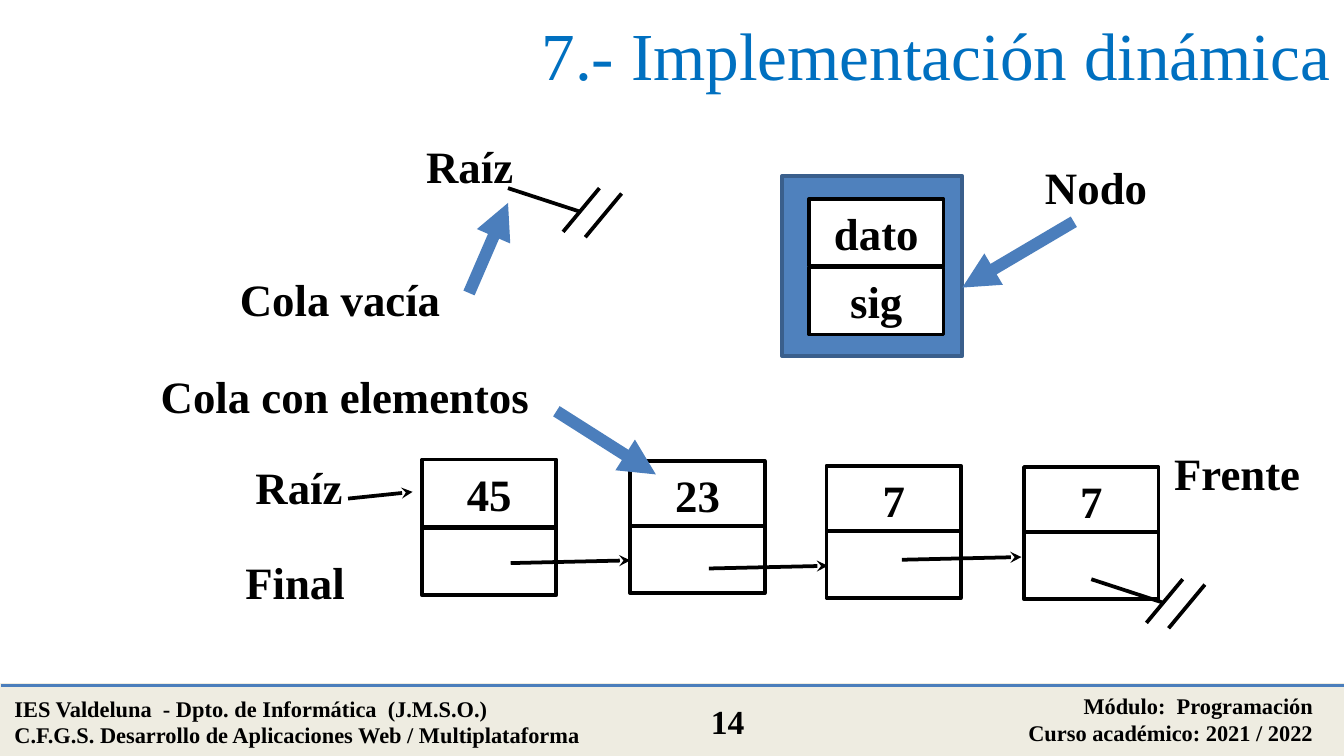
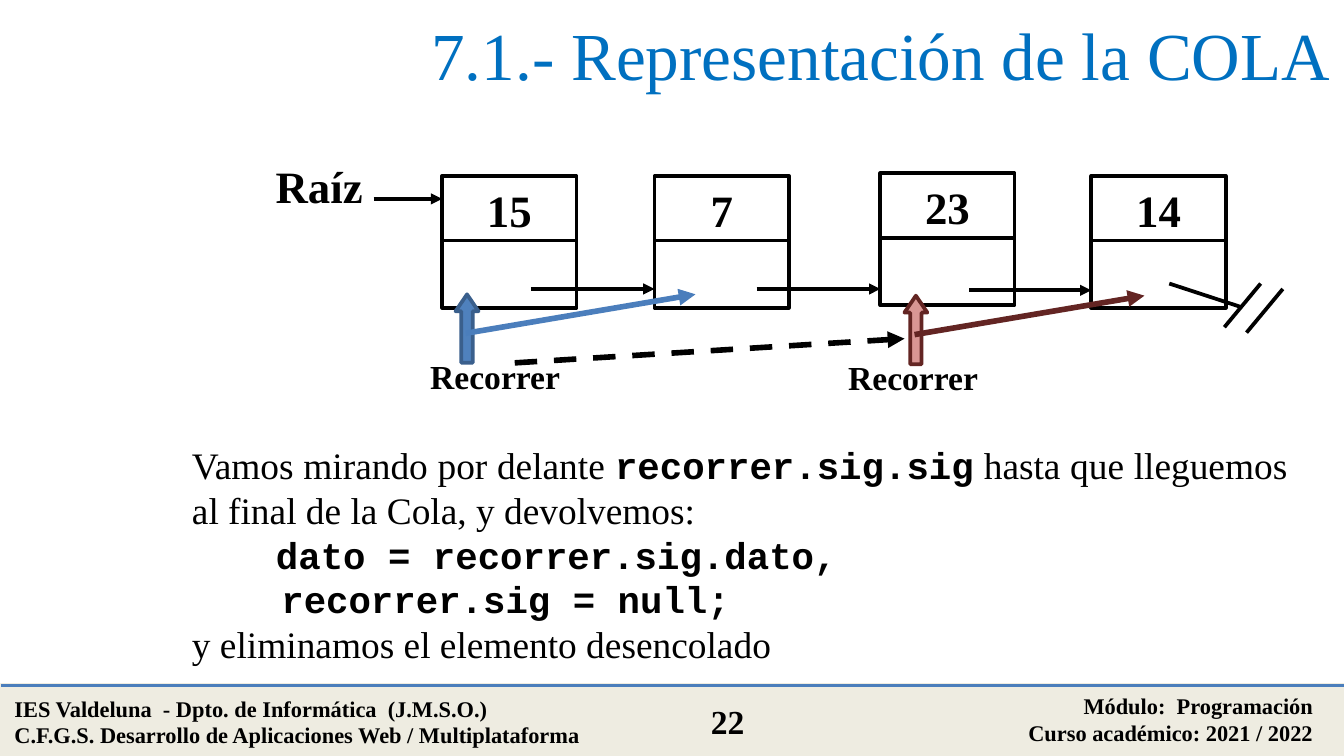
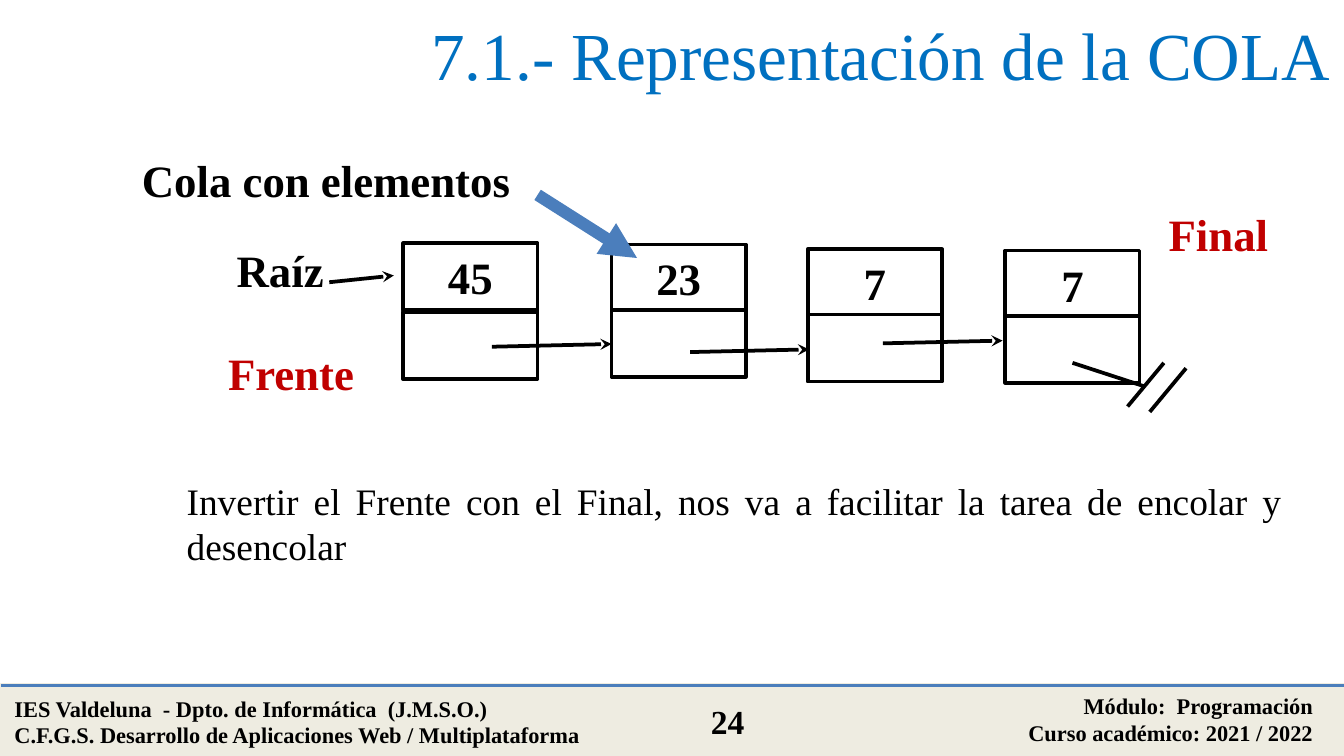
from lxml import etree
from pptx import Presentation
from pptx.dml.color import RGBColor
from pptx.enum.dml import MSO_LINE
from pptx.enum.shapes import MSO_CONNECTOR, MSO_SHAPE
from pptx.enum.text import MSO_ANCHOR, PP_ALIGN
from pptx.oxml.ns import qn
from pptx.util import Inches, Pt

# Square grid: 100 columns across the slide, 56.25 rows down
CELL = Inches(10) / 100
COLS, ROWS = 100, 56.25

# Shared style
SERIF, MONO = "Times New Roman", "Courier New"
BLACK, WHITE, RED = "000000", "FFFFFF", "C00000"
TITLE, BAND = "0070C0", "EEECE1"
BLUE, BLUE_EDGE, BLUE_LINE = "4F81BD", "3A5F8C", "4B7EBC"
PINK, MAROON = "D99694", "632523"
LEFT, CENTER = PP_ALIGN.LEFT, PP_ALIGN.CENTER
RIGHT, JUSTIFY = PP_ALIGN.RIGHT, PP_ALIGN.JUSTIFY

NODE_W, NODE_H = 10, 5


def grid(*cells):
    return [round(c * CELL) for c in cells]


def rgb(color):
    return RGBColor.from_string(color)


# ---- Text ----
def add_run(p, text, size=24, font=SERIF, color=BLACK, bold=False):
    r = p.add_run()
    r.text = text
    r.font.size, r.font.name, r.font.bold = Pt(size), font, bold
    r.font.color.rgb = rgb(color)


def write(tf, text, align=CENTER, anchor=MSO_ANCHOR.TOP, wrap=True, **fmt):
    """One paragraph per line of text."""
    tf.word_wrap, tf.vertical_anchor = wrap, anchor
    for i, line in enumerate(text.split("\n")):
        p = tf.add_paragraph() if i else tf.paragraphs[0]
        p.alignment = align
        add_run(p, line, **fmt)


def add_text(s, text, x, y, w, h=5, **fmt):
    box = s.shapes.add_textbox(*grid(x, y, w, h))
    write(box.text_frame, text, **fmt)


def add_label(s, text, x, y, w, h=5, **fmt):
    add_text(s, text, x, y, w, h, bold=True, wrap=False, **fmt)


# ---- Shapes and lines ----
def add_box(s, x, y, w, h, fill=WHITE, edge=BLACK, text="", kind=MSO_SHAPE.RECTANGLE):
    sp = s.shapes.add_shape(kind, *grid(x, y, w, h))
    sp.shadow.inherit = False
    sp.fill.solid()
    sp.fill.fore_color.rgb = rgb(fill)
    sp.line.color.rgb, sp.line.width = rgb(edge), Pt(2)
    if text:
        write(sp.text_frame, text, bold=True)
    return sp


def add_line(s, start, end, color=BLACK, width=2, head=None, dash=False):
    line = s.shapes.add_connector(MSO_CONNECTOR.STRAIGHT, *grid(*start, *end))
    line.line.color.rgb, line.line.width = rgb(color), Pt(width)
    if dash:
        line.line.dash_style = MSO_LINE.DASH
    if head:
        ln = line.line._get_or_add_ln()
        etree.SubElement(ln, qn("a:tailEnd"), type=head)
    etree.SubElement(line._element.spPr, qn("a:effectLst"))


def add_pointer(s, start, end):
    add_line(s, start, end, BLUE_LINE, 6.5, "triangle")


def add_up_arrow(s, x, y, fill, edge):
    sp = add_box(s, x, y, 1.7, 5.1, fill, edge, kind=MSO_SHAPE.UP_ARROW)
    sp.adjustments[0], sp.adjustments[1] = 0.5, 0.74


# ---- Queue parts ----
def add_node(s, x, y, top, bottom="", step=4.85):
    add_box(s, x, y, NODE_W, NODE_H, text=top)
    add_box(s, x, y + step, NODE_W, NODE_H, text=bottom)


def add_null(s, x, y):
    """Link that ends in two slashes."""
    add_line(s, (x, y), (x + 5.35, y + 1.75))
    for dx, dy in ((4.1, 0), (5.75, 0.4)):
        add_line(s, (x + dx, y + dy + 3.25), (x + dx + 2.7, y + dy))


def add_queue(s, x, y):
    """Queue of four nodes, measured from its first node."""
    add_label(s, "Raíz", x - 17.5, y - 0.5, 16.7)
    nodes = ((0, 0, "45", 5.1), (15.5, 0.1, "23", 4.85),
             (30.1, 0.45, "7", 4.85), (44.8, 0.55, "7", 4.85))
    for dx, dy, value, step in nodes:
        add_node(s, x + dx, y + dy, value, step=step)
    links = ((-5.5, 2.9, 4.8, 0.5), (6.6, 7.7, 8.9, 0.2),
             (21.35, 8.1, 8.85, 0.2), (35.7, 7.45, 8.9, 0.2))
    for dx, dy, run, rise in links:
        add_line(s, (x + dx, y + dy), (x + dx + run, y + dy - rise), head="stealth")
    add_null(s, x + 49.8, y + 8.9)
    add_label(s, "Cola con elementos", x - 20.5, y - 7.25, 29.5)
    add_pointer(s, (x + 10, y - 3.6), (x + 17.4, y + 1.1))


# ---- Slide frame: title and footer ----
def add_slide(prs, title, number):
    s = prs.slides.add_slide(prs.slide_layouts[6])
    add_box(s, 0.1, 51, COLS, ROWS - 51, BAND, BAND)
    add_line(s, (0.1, 51), (COLS + 0.1, 51), BLUE_LINE)
    add_text(s, "IES Valdeluna  - Dpto. de Informática  (J.M.S.O.)\n"
             "C.F.G.S. Desarrollo de Aplicaciones Web / Multiplataforma",
             0.1, 51.2, 46.6, size=12, bold=True, align=LEFT)
    add_text(s, "Módulo:  Programación\nCurso académico: 2021 / 2022",
             58.7, 51, 40, size=12, bold=True, align=RIGHT)
    add_text(s, str(number), 50.1, 51.7, 8.1, 4, size=18, bold=True)
    add_text(s, title, 0.1, -0.2, 99.9, 8.4, size=36, color=TITLE,
             align=RIGHT, anchor=MSO_ANCHOR.MIDDLE)
    return s


# ---- Slides ----
def dynamic_slide(prs):
    s = add_slide(prs, "7.- Implementación dinámica", 14)
    # Node structure
    add_box(s, 58.2, 13.1, 13.4, 13.4, BLUE, BLUE_EDGE)
    add_node(s, 60.2, 14.8, "dato", "sig", step=5.1)
    add_label(s, "Nodo", 73.2, 11.4, 16.7)
    add_pointer(s, (79.9, 16.5), (71.6, 21.4))
    # Empty queue
    add_label(s, "Raíz", 26.6, 9.8, 16.7)
    add_null(s, 37.8, 14)
    add_label(s, "Cola vacía", 16.1, 19.7, 18.4)
    add_pointer(s, (34.9, 21.8), (37.8, 15.1))
    # Queue with elements
    add_queue(s, 31.4, 34.2)
    add_label(s, "Frente", 85.3, 32.7, 13.5)
    add_label(s, "Final", 15.2, 40.8, 13.5)


def traversal_slide(prs):
    s = add_slide(prs, "7.1.- Representación de la COLA", 22)
    # Nodes and links
    add_label(s, "Raíz", 15.4, 11.3, 16.7)
    for x, y, value in ((32.9, 13.1, "15"), (48.7, 13.1, "7"),
                        (65.5, 12.9, "23"), (81.2, 13.1, "14")):
        add_node(s, x, y, value, step=4.8)
    for x, y, run in ((27.8, 14.8, 5.1), (39.5, 21.5, 9.2),
                      (56.3, 21.5, 9.2), (72.1, 21.6, 9.1)):
        add_line(s, (x, y), (x + run, y), head="triangle")
    add_null(s, 87, 21.1)
    # The two positions of the cursor
    for x, y, fill, edge, color, label_x in (
            (33.9, 21.9, BLUE, BLUE_EDGE, BLUE_LINE, 31),
            (67.3, 22, PINK, MAROON, MAROON, 62.1)):
        add_up_arrow(s, x, y, fill, edge)
        add_label(s, "Recorrer", label_x, y + 4.1, 11.7, 4, size=18)
        add_line(s, (x + 0.75, y + 2.9), (x + 17.85, y), color, 3, "triangle")
    add_line(s, (38.3, 27), (67.3, 25.2), width=3, head="triangle", dash=True)
    # Explanation: (indent, runs) for each paragraph
    prose, code = {"size": 20}, {"size": 20, "font": MONO, "bold": True}
    paragraphs = (
        (0, (("Vamos mirando por delante ", prose), ("recorrer.sig.sig", code),
             (" hasta que lleguemos al final de la Cola, y devolvemos:", prose))),
        (6.25, (("dato = recorrer.sig.dato,", code),)),
        (6.65, (("recorrer.sig = null;", code),)),
        (0, (("y eliminamos el elemento desencolado", prose),)))
    tf = s.shapes.add_textbox(*grid(13.3, 32.4, 83.5, 17.8)).text_frame
    tf.word_wrap = True
    for i, (indent, runs) in enumerate(paragraphs):
        p = tf.add_paragraph() if i else tf.paragraphs[0]
        p.alignment = JUSTIFY
        if indent:
            p._p.get_or_add_pPr().set("marL", str(grid(indent)[0]))
        for text, fmt in runs:
            add_run(p, text, **fmt)


def inverted_slide(prs):
    s = add_slide(prs, "7.1.- Representación de la COLA", 24)
    add_queue(s, 30, 18.1)
    add_label(s, "Frente", 14.9, 25.2, 13.5, color=RED)
    add_label(s, "Final", 83.9, 14.9, 13.5, color=RED)
    add_text(s, "Invertir el Frente con el Final, nos va a facilitar la tarea "
             "de encolar y desencolar", 12.9, 35.1, 83.5, 7.7, size=20, align=JUSTIFY)


def main():
    prs = Presentation()
    prs.slide_width, prs.slide_height = grid(COLS, ROWS)
    dynamic_slide(prs)
    traversal_slide(prs)
    inverted_slide(prs)
    prs.save("out.pptx")


main()
